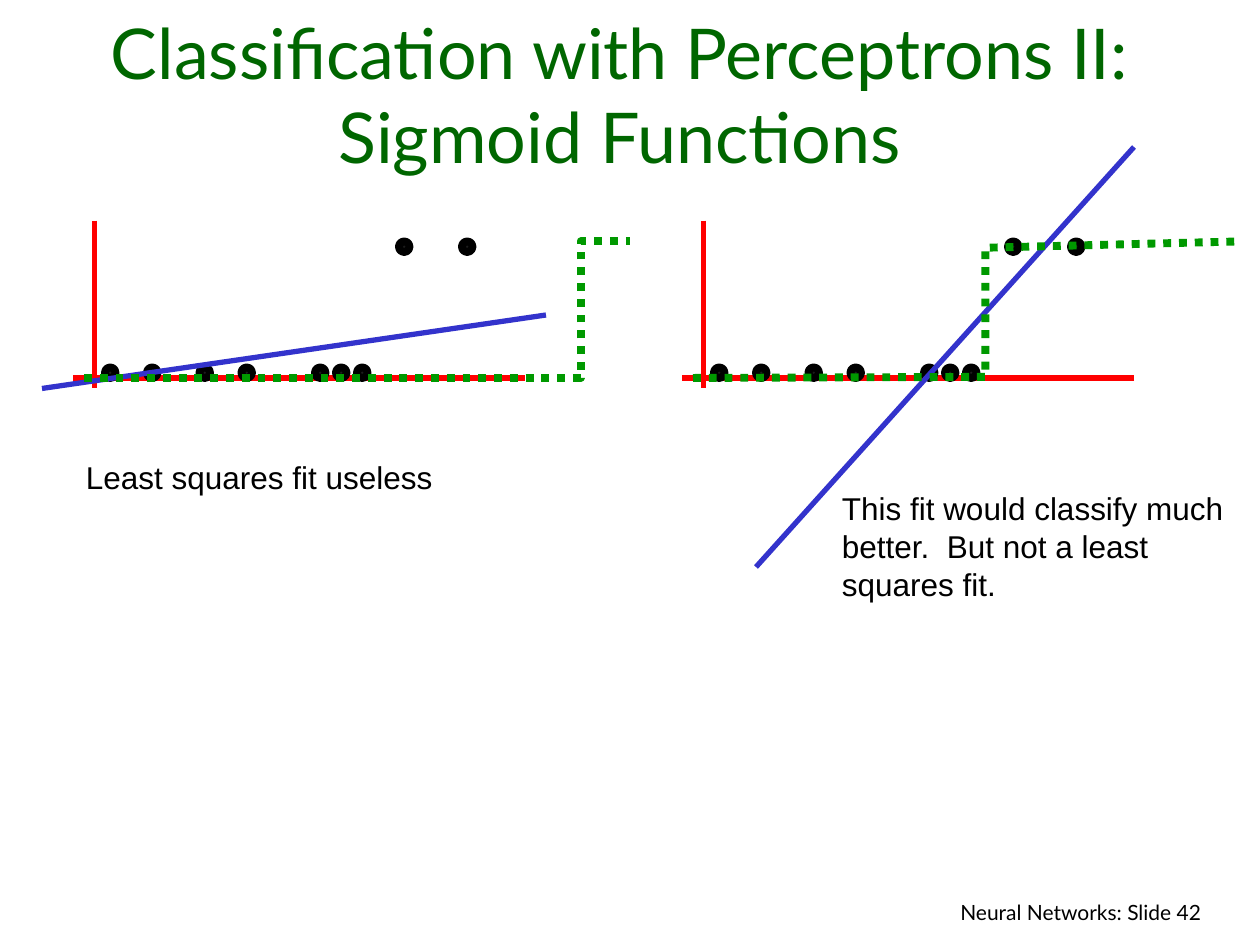
from lxml import etree
from pptx import Presentation
from pptx import util as u
from pptx.dml.color import RGBColor
from pptx.enum import dml, shapes, text
from pptx.oxml.ns import qn

COLORS = {
    "title": "006600",
    "text": "000000",
    "axis": "FF0000",
    "dot": "1C1C1C",
    "dot_edge": "000000",
    "fit": "3333CC",
    "step": "009900",
}
COLUMNS, ROWS = 120, 90
PANEL_SHIFT = 58
LOW_DOTS = (10, 14, 19, 23, 30, 32, 34)
HIGH_DOTS = (38, 44)
LOW_ROW, HIGH_ROW = 35, 23


def color(name):
    return RGBColor.from_string(COLORS[name])


def grid(deck, column, row):
    return (round(deck.slide_width * column / COLUMNS),
            round(deck.slide_height * row / ROWS))


def place(deck, item, column, row, width, height):
    item.left, item.top = grid(deck, column, row)
    item.width, item.height = grid(deck, width, height)


def style_line(line, name, width):
    line.color.rgb = color(name)
    line.width = u.Pt(width)


def add_span(para, words, font, size, name):
    span = para.add_run()
    span.text = words
    span.font.name = font
    span.font.size = u.Pt(size)
    span.font.color.rgb = color(name)


def add_title(deck, page, lines):
    title = page.shapes.title
    place(deck, title, 3, 1, 112, 16.5)
    frame = title.text_frame
    frame.word_wrap = True
    frame.auto_size = text.MSO_AUTO_SIZE.NONE
    frame.vertical_anchor = text.MSO_ANCHOR.BOTTOM
    para = frame.paragraphs[0]
    para.alignment = text.PP_ALIGN.CENTER
    for index, words in enumerate(lines):
        if index:
            para.add_line_break()
        add_span(para, words, "Lato", 40, "title")


def add_note(deck, page, area, words, font="Arial", size=18,
             align=text.PP_ALIGN.LEFT):
    box = page.shapes.add_textbox(0, 0, 0, 0)
    place(deck, box, *area)
    box.text_frame.word_wrap = True
    para = box.text_frame.paragraphs[0]
    para.alignment = align
    add_span(para, words, font, size, "text")


def add_line(deck, panel, start, end, name):
    line = panel.shapes.add_connector(
        shapes.MSO_CONNECTOR.STRAIGHT, *grid(deck, *start), *grid(deck, *end))
    style_line(line.line, name, 3)
    etree.SubElement(line._element.spPr, qn("a:effectLst"))


def add_dot(deck, panel, column, row):
    dot = panel.shapes.add_shape(
        shapes.MSO_SHAPE.FLOWCHART_CONNECTOR,
        *grid(deck, column, row), *grid(deck, 1, 1))
    dot.shadow.inherit = False
    dot.fill.solid()
    dot.fill.fore_color.rgb = color("dot")
    style_line(dot.line, "dot_edge", 4.5)


def add_step(deck, panel, points):
    first, *rest = [grid(deck, *point) for point in points]
    builder = panel.shapes.build_freeform(*first)
    builder.add_line_segments(rest, close=False)
    step = builder.convert_to_shape()
    step.shadow.inherit = False
    step.fill.background()
    style_line(step.line, "step", 4.5)
    step.line.dash_style = dml.MSO_LINE.ROUND_DOT


def add_panel(deck, page, shift, fit, step):
    panel = page.shapes.add_group_shape()
    add_line(deck, panel, (9 + shift, 21), (9 + shift, 37), "axis")
    add_line(deck, panel, (50 + shift, 36), (7 + shift, 36), "axis")
    for columns, row in ((LOW_DOTS, LOW_ROW), (HIGH_DOTS, HIGH_ROW)):
        for column in columns:
            add_dot(deck, panel, column + shift, row)
    add_line(deck, panel, *fit, "fit")
    add_step(deck, panel, step)


def main():
    deck = Presentation()
    deck.slide_width, deck.slide_height = u.Inches(10), u.Inches(7.5)
    page = deck.slides.add_slide(deck.slide_layouts[5])
    add_title(deck, page,
              ("Classification with Perceptrons II:", "Sigmoid Functions"))
    add_note(deck, page, (68.6, 85.1, 47, 4), "Neural Networks: Slide 42",
             "Lato", 12, text.PP_ALIGN.RIGHT)
    add_note(deck, page, (7, 43, 37, 4.8), "Least squares fit useless")
    add_note(deck, page, (79, 46, 40, 12),
             "This fit would classify much better.  "
             "But not a least squares fit.")
    add_panel(deck, page, 0, ((4, 37), (52, 30)),
              ((8, 36), (55.3, 36), (55.3, 23), (60, 23)))
    add_panel(deck, page, PANEL_SHIFT, ((72, 54), (108, 14)),
              ((66, 36), (93.85, 35.9), (93.85, 23.6), (118, 23)))
    deck.save("out.pptx")


if __name__ == "__main__":
    main()
